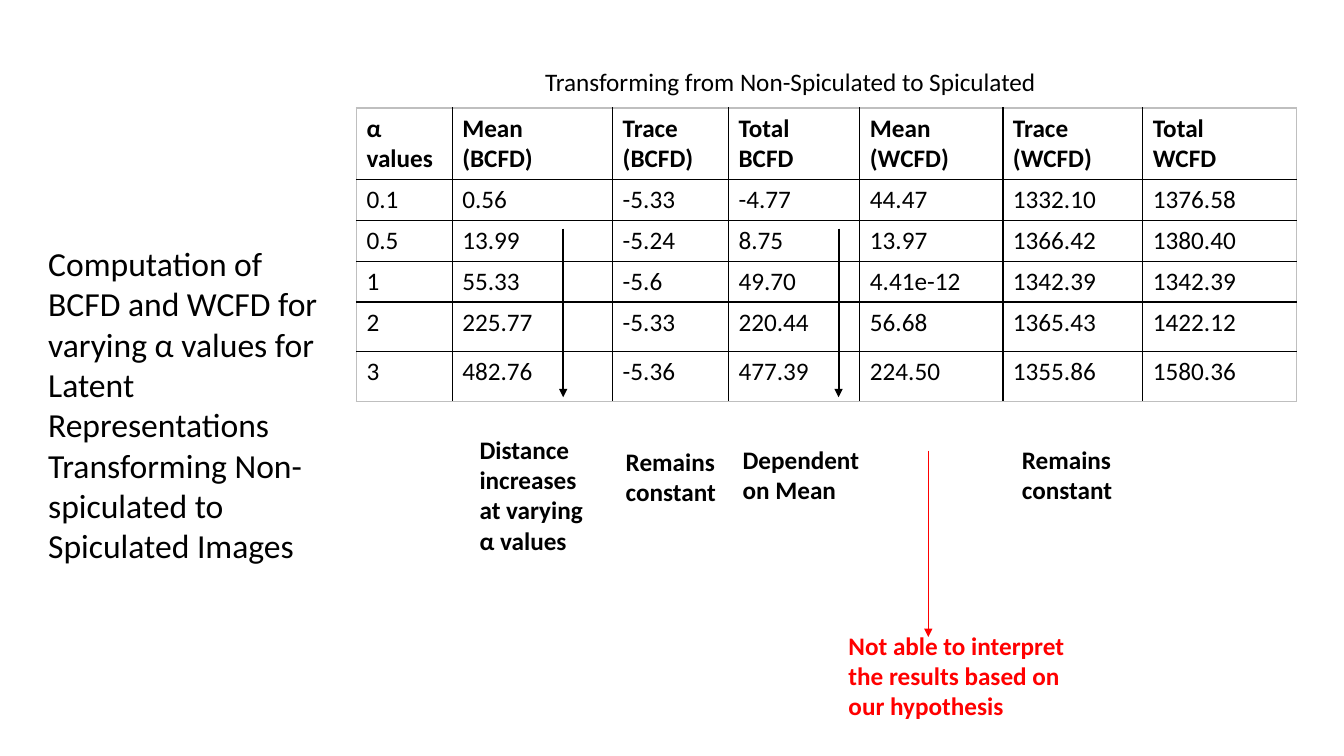
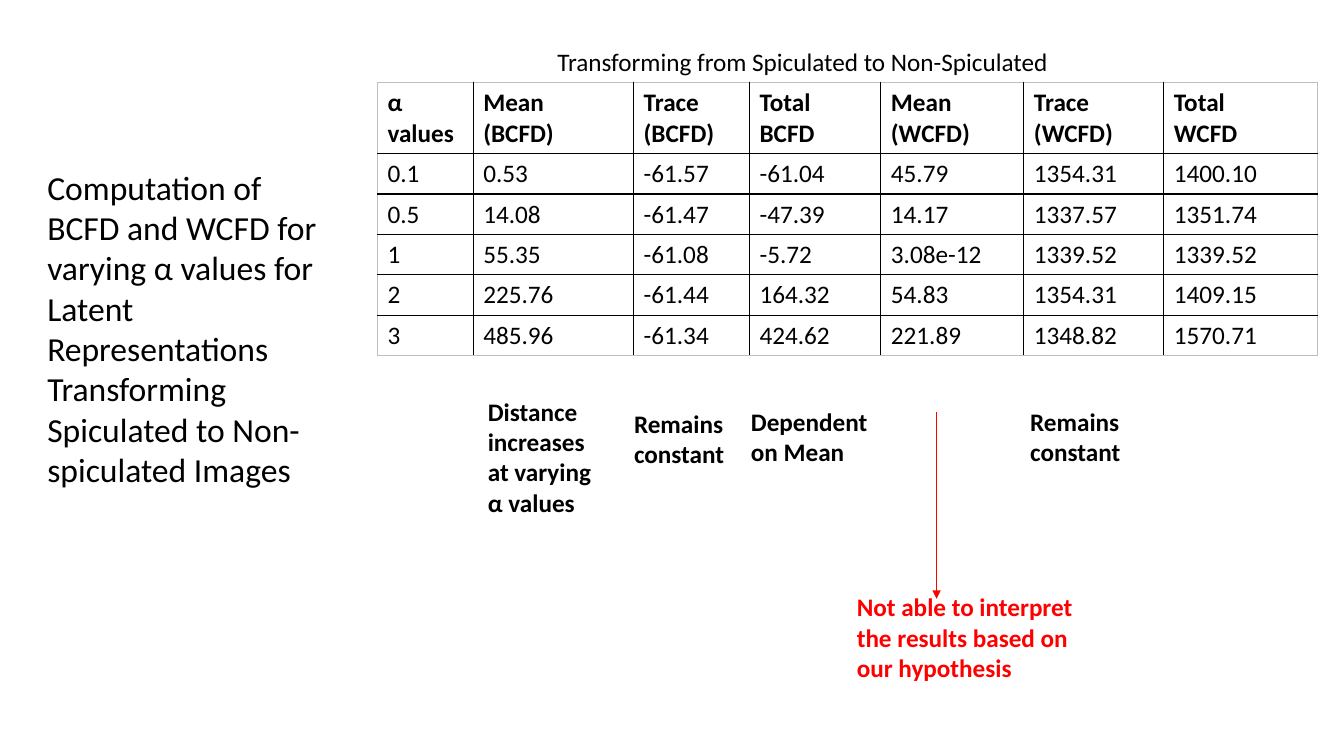
from pptx import Presentation
from pptx import oxml
from pptx.dml import color
from pptx.enum import shapes, text
from pptx.util import Pt

THEME = {
    "font": "Calibri",
    "black": color.RGBColor(0x00, 0x00, 0x00),
    "red": color.RGBColor(0xFF, 0x00, 0x00),
    "inner_border": "000000",
    "outer_border": "BFBFBF",
    "title_size": Pt(24),
    "text_size": Pt(18),
}
NAMESPACE = 'xmlns:a="http://schemas.openxmlformats.org/drawingml/2006/main"'

HEADERS = [
    "α values", "Mean\n(BCFD)", "Trace\n(BCFD)", "Total BCFD",
    "Mean (WCFD)", "Trace\n(WCFD)", "Total\nWCFD",
]
COLUMN_WIDTHS = [68.4, 114.6, 82.8, 93.8, 102.2, 100, 110]

NOTES = [
    ("Distance increases at varying α values", (0, 0, 94, 94), "black"),
    ("Remains constant", (104.4, 8.6, 80, 51), "black"),
    ("Dependent on Mean", (187.9, 7.2, 100, 51), "black"),
    ("Remains constant", (387.4, 7.2, 80, 51), "black"),
    ("Not able to interpret the results based on our hypothesis",
     (263.5, 139.7, 174.2, 73), "red"),
]
HYPOTHESIS_ARROW = (327.6, 15.1, 133.2)

SLIDES = [
    {
        "title": "Computation of BCFD and WCFD for varying α values for Latent "
                 "Representations Transforming Non-spiculated to Spiculated Images",
        "title_at": (27.2, 170),
        "caption": "Transforming from Non-Spiculated to Spiculated",
        "caption_at": (382.3, 44),
        "table_at": (254.6, 77.2),
        "row_heights": [51, 29.2, 29.2, 29.2, 35.5, 35.5],
        "rows": [
            ["0.1", "0.56", "-5.33", "-4.77", "44.47", "1332.10", "1376.58"],
            ["0.5", "13.99", "-5.24", "8.75", "13.97", "1366.42", "1380.40"],
            ["1", "55.33", "-5.6", "49.70", "4.41e-12", "1342.39", "1342.39"],
            ["2", "225.77", "-5.33", "220.44", "56.68", "1365.43", "1422.12"],
            ["3", "482.76", "-5.36", "477.39", "224.50", "1355.86", "1580.36"],
        ],
        "trend_arrows": [(402.3, 163.3, 120.4), (599, 163.3, 120.4)],
        "notes_at": (335.5, 306.7),
    },
    {
        "title": "Computation of BCFD and WCFD for varying α values for Latent "
                 "Representations Transforming Spiculated to Non-spiculated Images",
        "title_at": (26.6, 115.4),
        "caption": "Transforming from Spiculated to Non-Spiculated",
        "caption_at": (391, 29.5),
        "table_at": (269.6, 58.8),
        "row_heights": [51] + [28.8] * 5,
        "rows": [
            ["0.1", "0.53", "-61.57", "-61.04", "45.79", "1354.31", "1400.10"],
            ["0.5", "14.08", "-61.47", "-47.39", "14.17", "1337.57", "1351.74"],
            ["1", "55.35", "-61.08", "-5.72", "3.08e-12", "1339.52", "1339.52"],
            ["2", "225.76", "-61.44", "164.32", "54.83", "1354.31", "1409.15"],
            ["3", "485.96", "-61.34", "424.62", "221.89", "1348.82", "1570.71"],
        ],
        "trend_arrows": [],
        "notes_at": (341.4, 279.4),
    },
]


def write_text(frame, words, size="text_size", ink="black", bold=False):
    frame.text = words
    frame.word_wrap = True
    font_format = {"name": THEME["font"], "size": THEME[size], "bold": bold}
    for paragraph in frame.paragraphs:
        paragraph.alignment = text.PP_ALIGN.LEFT
        for name, value in font_format.items():
            setattr(paragraph.font, name, value)
        paragraph.font.color.rgb = THEME[ink]


def add_down_arrow(slide, left, top, length, ink, width):
    arrow = slide.shapes.add_connector(
        shapes.MSO_CONNECTOR.STRAIGHT, Pt(left), Pt(top), Pt(left), Pt(top + length))
    arrow.line.color.rgb = THEME[ink]
    arrow.line.width = Pt(width)
    arrow.line._get_or_add_ln().append(
        oxml.parse_xml(f'<a:tailEnd {NAMESPACE} type="triangle"/>'))
    arrow._element.spPr.append(oxml.parse_xml(f"<a:effectLst {NAMESPACE}/>"))


presentation = Presentation()
presentation.slide_width = Pt(960)
presentation.slide_height = Pt(540)

for content in SLIDES:
    slide = presentation.slides.add_slide(presentation.slide_layouts[5])

    title = slide.shapes.title
    title_left, title_top = content["title_at"]
    title_box = {"left": title_left, "top": title_top, "width": 209, "height": 274}
    for name, value in title_box.items():
        setattr(title, name, Pt(value))
    write_text(title.text_frame, content["title"], size="title_size")
    title.text_frame.vertical_anchor = text.MSO_ANCHOR.TOP
    title.text_frame.auto_size = text.MSO_AUTO_SIZE.NONE

    caption_left, caption_top = content["caption_at"]
    caption = slide.shapes.add_textbox(
        Pt(caption_left), Pt(caption_top), Pt(370), Pt(29))
    write_text(caption.text_frame, content["caption"])

    table_rows = [HEADERS] + content["rows"]
    table_left, table_top = content["table_at"]
    table = slide.shapes.add_table(
        len(table_rows), len(HEADERS), Pt(table_left), Pt(table_top),
        Pt(sum(COLUMN_WIDTHS)), Pt(sum(content["row_heights"]))).table
    for column, width in zip(table.columns, COLUMN_WIDTHS):
        column.width = Pt(width)
    for row, height in zip(table.rows, content["row_heights"]):
        row.height = Pt(height)
    for row_index, values in enumerate(table_rows):
        for column_index, value in enumerate(values):
            cell = table.cell(row_index, column_index)
            write_text(cell.text_frame, value, bold=row_index == 0)
            outer_sides = {
                "lnL": column_index == 0,
                "lnR": column_index == len(HEADERS) - 1,
                "lnT": row_index == 0,
                "lnB": row_index == len(table_rows) - 1,
            }
            for side, is_outer in outer_sides.items():
                ink = THEME["outer_border" if is_outer else "inner_border"]
                cell._tc.get_or_add_tcPr().append(oxml.parse_xml(
                    f'<a:{side} {NAMESPACE} w="{Pt(1)}"><a:solidFill>'
                    f'<a:srgbClr val="{ink}"/></a:solidFill></a:{side}>'))
            cell.fill.background()

    for left, top, length in content["trend_arrows"]:
        add_down_arrow(slide, left, top, length, "black", 1.5)

    notes_left, notes_top = content["notes_at"]
    for words, (left, top, width, height), ink in NOTES:
        note = slide.shapes.add_textbox(
            Pt(notes_left + left), Pt(notes_top + top), Pt(width), Pt(height))
        write_text(note.text_frame, words, ink=ink, bold=True)

    left, top, length = HYPOTHESIS_ARROW
    add_down_arrow(slide, notes_left + left, notes_top + top, length, "red", 1)

presentation.save("out.pptx")
